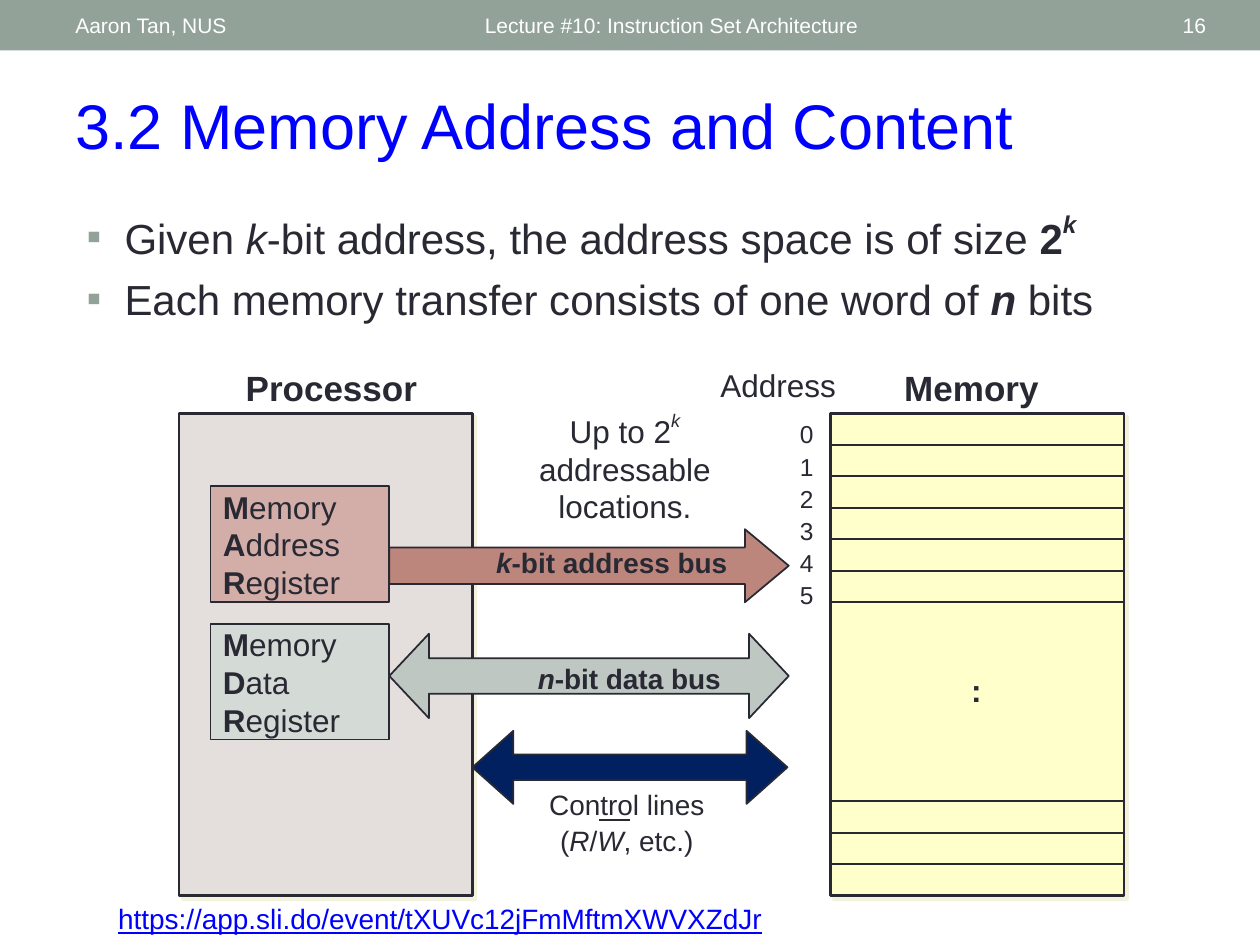
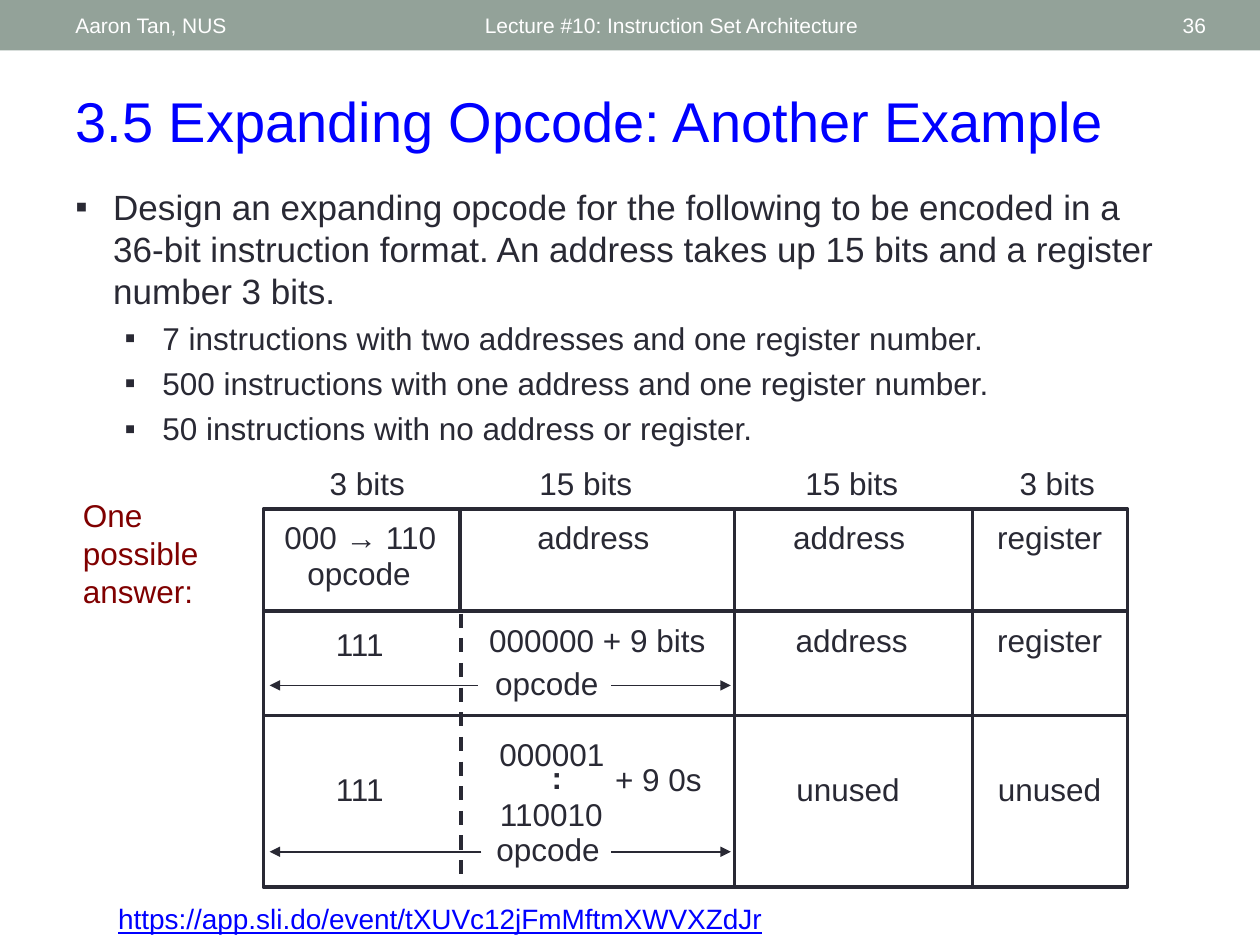
"""Build two lecture slides on memory addressing and expanding opcodes."""
from lxml.etree import SubElement
from pptx import Presentation
from pptx.dml.color import RGBColor
from pptx.enum.dml import MSO_LINE
from pptx.enum.shapes import MSO_CONNECTOR, MSO_SHAPE
from pptx.enum.text import MSO_ANCHOR, PP_ALIGN
from pptx.oxml.ns import qn
from pptx.util import Inches, Pt

COLORS = {
    "ink": "292934", "band": "93A299", "white": "FFFFFF", "blue": "0000FF",
    "maroon": "800000", "processor": "E4DFDC", "mar": "D3AEA8", "mdr": "D4DAD6",
    "memory": "FFFFCC", "address_bus": "BD867C", "data_bus": "BEC7C2",
    "control": "002060", "shadow": "F3F2DC",
}
FONT = "Arial"
LINK = "https://app.sli.do/event/tXUVc12jFmMftmXWVXZdJr"
CENTER, RIGHT = PP_ALIGN.CENTER, PP_ALIGN.RIGHT


def rgb(name):
    return RGBColor.from_string(COLORS[name])


class Deck:
    def __init__(self):
        self.prs = Presentation()
        self.prs.slide_width, self.prs.slide_height = Inches(10), Inches(7.5)
        self.s = None

    def slide(self, title, number, title_size):
        self.s = self.prs.slides.add_slide(self.prs.slide_layouts[6])
        self.shape(MSO_SHAPE.RECTANGLE, (0, 0, 10, 0.4), "band", line=None)
        self.text((0.84, 7.11, 6.33, 0.37), [[(LINK, "u")]], 16, "blue")
        for at, words, align in (
            ((3.75, 0.02, 4.5, 0.36), "Lecture #10: Instruction Set Architecture", None),
            ((0.5, 0.02, 3.17, 0.36), "Aaron Tan, NUS", None),
            ((8.72, 0.02, 0.95, 0.36), str(number), RIGHT),
        ):
            self.text(at, [[words]], 12, "white", align, anchor=MSO_ANCHOR.MIDDLE)
        self.text((0.5, 0.64, 9.17, 0.71), [[title]], title_size, "blue")

    def runs(self, p, runs, size, color):
        for run in runs:
            words, flags = (run, "") if isinstance(run, str) else run
            r = p.add_run()
            r.text = words
            r.font.name, r.font.size = FONT, Pt(size)
            r.font.color.rgb = rgb(color)
            r.font.bold, r.font.italic = "b" in flags, "i" in flags
            r.font.underline = "u" in flags
            if "^" in flags:
                r._r.get_or_add_rPr().set("baseline", "50000")

    def paragraphs(self, tf, paras, size, color="ink", align=None, gap=0,
                   anchor=MSO_ANCHOR.TOP, inset=None):
        tf.word_wrap, tf.vertical_anchor = True, anchor
        if inset is not None:
            tf.margin_left = tf.margin_right = Inches(inset)
            tf.margin_top = tf.margin_bottom = Inches(inset)
        for i, runs in enumerate(paras):
            p = tf.add_paragraph() if i else tf.paragraphs[0]
            p.alignment = align or PP_ALIGN.LEFT
            if i and gap:
                p.space_before = Pt(gap)
            self.runs(p, runs, size, color)

    def text(self, at, paras, size, *args, **style):
        sp = self.s.shapes.add_textbox(*map(Inches, at))
        self.paragraphs(sp.text_frame, paras, size, *args, **style)

    def bullets(self, at, items, gap, bullet_color):
        tf = self.s.shapes.add_textbox(*map(Inches, at)).text_frame
        tf.word_wrap = True
        for i, (level, size, runs) in enumerate(items):
            p = tf.add_paragraph() if i else tf.paragraphs[0]
            p.level = level
            if i:
                p.space_before = Pt(gap)
            pPr = p._p.get_or_add_pPr()
            pPr.set("marL", str(Inches((0.3, 0.69)[level])))
            pPr.set("indent", str(Inches(-0.3)))
            clr = SubElement(pPr, qn("a:buClr"))
            SubElement(clr, qn("a:srgbClr"), val=COLORS[bullet_color])
            SubElement(pPr, qn("a:buFont"), typeface=FONT)
            SubElement(pPr, qn("a:buChar"), char="▪")
            self.runs(p, runs, size, "ink")

    def shape(self, kind, at, fill=None, line="ink", width=1, adj=(), shadow=False):
        sp = self.s.shapes.add_shape(kind, *map(Inches, at))
        sp.shadow.inherit = False
        for i, value in enumerate(adj):
            sp.adjustments[i] = value
        if fill:
            sp.fill.solid()
            sp.fill.fore_color.rgb = rgb(fill)
        else:
            sp.fill.background()
        if line:
            sp.line.color.rgb, sp.line.width = rgb(line), Pt(width)
        else:
            sp.line.fill.background()
        if shadow:
            effects = sp._element.spPr.find(qn("a:effectLst"))
            outer = SubElement(effects, qn("a:outerShdw"), dist=str(Pt(2.8)),
                               dir="2700000", algn="ctr", rotWithShape="0")
            SubElement(outer, qn("a:srgbClr"), val=COLORS["shadow"])
        return sp

    def line(self, x1, y1, x2, y2, width=1, dashed=False, arrow=False):
        cn = self.s.shapes.add_connector(
            MSO_CONNECTOR.STRAIGHT, *map(Inches, (x1, y1, x2, y2)))
        cn.line.color.rgb, cn.line.width = rgb("ink"), Pt(width)
        if dashed:
            cn.line.dash_style = MSO_LINE.DASH
        spPr = cn._element.spPr
        if arrow:
            SubElement(spPr.find(qn("a:ln")), qn("a:tailEnd"), type="triangle")
        SubElement(spPr, qn("a:effectLst"))

    def label(self, words, left, top, width, flags=""):
        self.text((left, top, width, 0.32), [[(words, flags)]], 18,
                  align=CENTER, inset=0.01)


def memory_slide(d):
    d.slide("3.2 Memory Address and Content", 16, 36)
    d.bullets((0.59, 1.61, 9, 1.12), [
        (0, 24, ["Given ", ("k", "i"), "-bit address, the address space is of size ",
                 ("2", "b"), ("k", "bi^")]),
        (0, 24, ["Each memory transfer consists of one word of ", ("n", "bi"), " bits"]),
    ], 6, "band")
    d.text((5.59, 2.86, 1.17, 0.4), [["Address"]], 18, align=CENTER)
    d.text((6.25, 3.28, 0.33, 1.56), [[str(i)] for i in range(6)], 14, gap=1.6)

    for name, fill, left, name_left in (("Processor", "processor", 1.42, 1.84),
                                        ("Memory", "memory", 6.59, 6.92)):
        d.shape(MSO_SHAPE.RECTANGLE, (left, 3.28, 2.33, 3.83), fill, width=1.5, shadow=True)
        d.text((name_left, 2.86, 1.58, 0.43), [[(name, "b")]], 20, align=CENTER)

    for fill, top, middle in (("mar", 3.86, "Address"), ("mdr", 4.95, "Data")):
        sp = d.shape(MSO_SHAPE.RECTANGLE, (1.67, top, 1.42, 0.92), fill)
        d.paragraphs(sp.text_frame, [[("M", "b"), "emory ", (middle[0], "b"), middle[1:],
                                      (" R", "b"), "egister"]], 18, anchor=MSO_ANCHOR.MIDDLE)

    cell = 0.25
    for y in [3.28 + cell * i for i in range(1, 7)] + [7.11 - cell * i for i in (3, 2, 1)]:
        d.line(6.59, y, 8.92, y)
    d.text((7.5, 5.28, 0.5, 0.4), [[(":", "b")]], 18, align=CENTER)

    for kind, at, fill, adj in (
        (MSO_SHAPE.RIGHT_ARROW, (3.09, 4.2, 3.17, 0.58), "address_bus", (0.5, 0.6)),
        (MSO_SHAPE.LEFT_RIGHT_ARROW, (3.75, 5.8, 2.5, 0.58), "control", (0.35, 0.56)),
        (MSO_SHAPE.LEFT_RIGHT_ARROW, (3.09, 5.03, 3.17, 0.67), "data_bus", (0.42, 0.47)),
    ):
        d.shape(kind, at, fill, adj=adj)
    d.text((4.17, 5.2, 1.67, 0.37), [[("n", "bi"), ("-bit data bus", "b")]], 16)
    d.text((3.92, 3.2, 2.08, 1),
           [["Up to 2", ("k", "i^"), " addressable locations."]], 18, align=CENTER)
    d.text((4.25, 6.2, 1.45, 0.65),
           [["Control lines"], ["(", ("R", "i"), "/", ("W", "i"), ", etc.)"]],
           16, align=CENTER, gap=1.6)
    d.line(4.75, 6.51, 5, 6.51)
    d.text((3.84, 4.28, 2.17, 0.37), [[("k", "bi"), ("-bit address bus", "b")]], 16)


def opcode_slide(d):
    d.slide("3.5 Expanding Opcode: Another Example", 36, 32)
    d.bullets((0.5, 1.42, 8.79, 2.25), [
        (0, 20, ["Design an expanding opcode for the following to be encoded in a "
                 "36-bit instruction format. An address takes up 15 bits and a "
                 "register number 3 bits."]),
        (1, 18, ["7 instructions with two addresses and one register number."]),
        (1, 18, ["500 instructions with one address and one register number."]),
        (1, 18, ["50 instructions with no address or register."]),
    ], 4.3, "ink")

    rows = {
        3.67: [("3 bits", 2.45, 0.93), ("15 bits", 4.11, 1.08),
               ("15 bits", 6.22, 1.08), ("3 bits", 7.85, 1.08)],
        4.1: [("000 → 110", 2.19, 1.34), ("address", 4.04, 1.34),
              ("address", 6.07, 1.34), ("register", 7.82, 1.02)],
        4.39: [("opcode", 2.18, 1.34)],
        4.92: [("000000 + 9 bits", 3.78, 1.92), ("address", 6.22, 1.08),
               ("register", 7.87, 0.92)],
        4.95: [("111", 2.47, 0.77)],
        5.26: [("opcode", 3.84, 1)],
        5.82: [("000001", 3.77, 1.22)],
        6.01: [(":", 4.24, 0.36, "b")],
        6.02: [("+ 9 0s", 4.8, 0.85)],
        6.1: [("111", 2.47, 0.77), ("unused", 6.21, 1.04), ("unused", 7.78, 1.1)],
        6.3: [("110010", 3.77, 1.21)],
        6.58: [("opcode", 3.85, 1)],
    }
    for top, labels in rows.items():
        for words, left, width, *flags in labels:
            d.label(words, left, top, width, *flags)

    left, top, width, height = 2.09, 4.04, 6.86, 3
    right, bottom = left + width, top + height
    d.shape(MSO_SHAPE.RECTANGLE, (left, top, width, height), width=2)
    for y in (4.85, 5.68):
        d.line(left, y, right, y, 2)
    for x in (5.83, 7.72):
        d.line(x, top, x, bottom, 2)
    d.line(3.65, top, 3.65, 4.85, 2)
    d.line(3.66, 4.87, 3.66, bottom, 2, dashed=True)
    for y, inner_left in ((5.44, 3.79), (6.76, 3.82)):
        d.line(inner_left, y, 2.14, y, arrow=True)
        d.line(4.85, y, 5.8, y, arrow=True)
    d.text((0.56, 3.89, 1.58, 1), [["One possible answer:"]], 18, "maroon")


def main():
    d = Deck()
    memory_slide(d)
    opcode_slide(d)
    d.prs.save("out.pptx")


if __name__ == "__main__":
    main()
